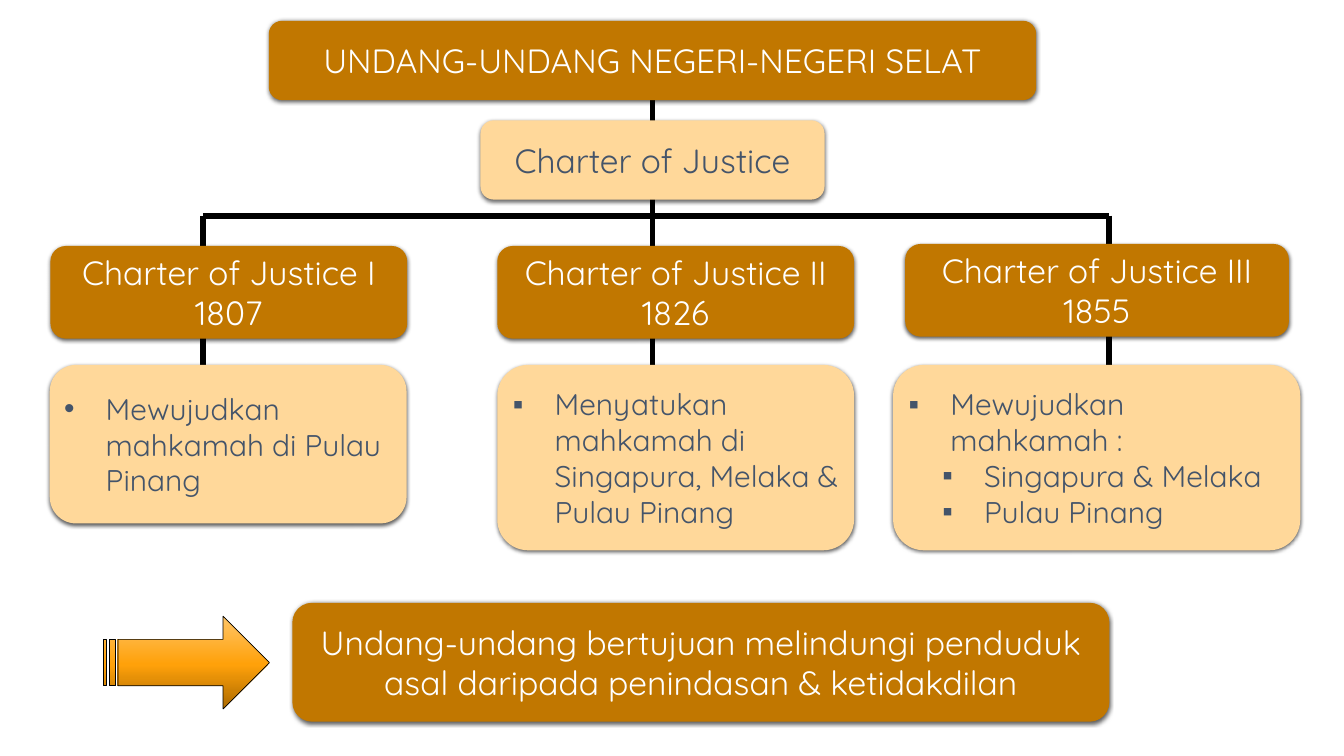
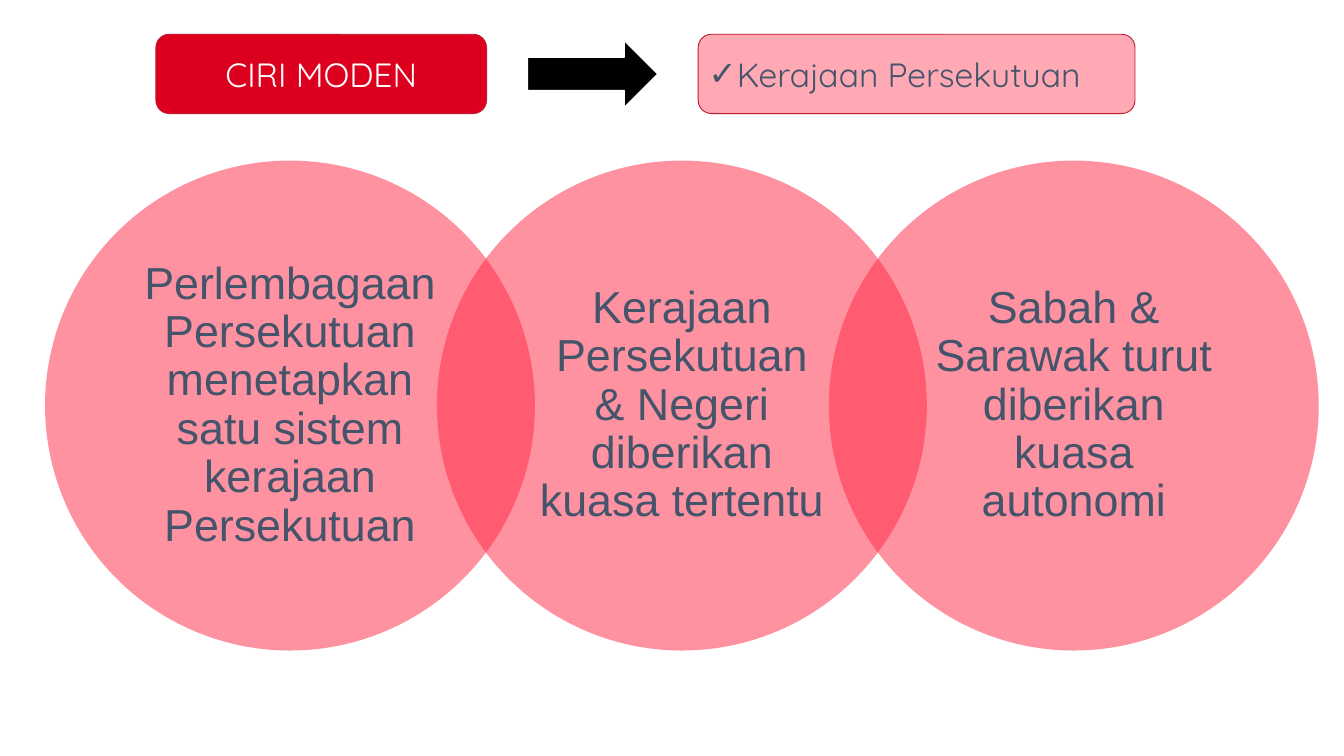
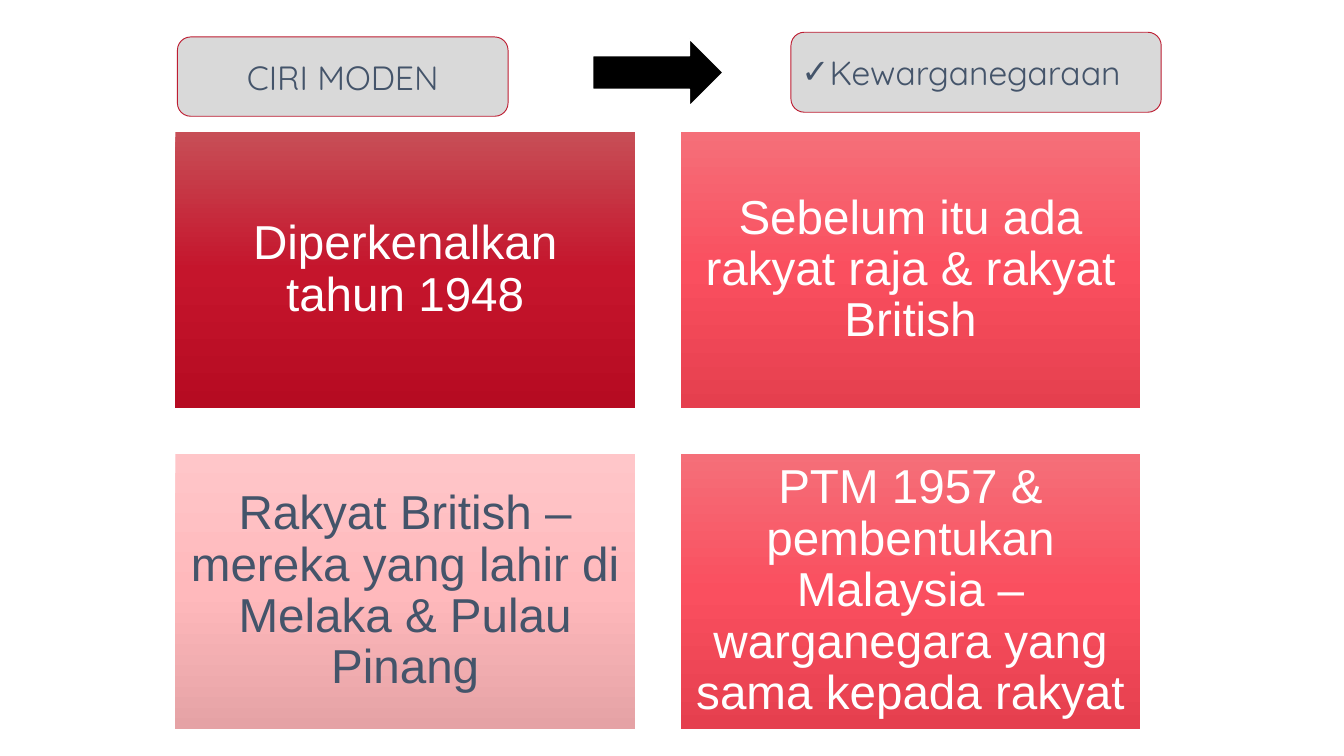
"""Three slides on the law of the Straits Settlements and the features of modern government."""
from lxml import etree
from pptx import Presentation, util as u
from pptx.dml.color import RGBColor
from pptx.enum import shapes, text
from pptx.oxml.ns import qn

W, H = 20, 11.25
KIND = shapes.MSO_SHAPE
WHITE, BLACK, SLATE, EDGE = "FFFFFF", "000000", "44546A", "BD1D32"
BROWN, SAND, RED, PINK, GREY = "C17700", "FFD89A", "DC001E", "FFA9B4", "D9D9D9"

LAW_TITLE = "UNDANG-UNDANG NEGERI-NEGERI SELAT"
LAW_SOURCE = "Charter of Justice"
LAW_AIM = "Undang-undang bertujuan melindungi penduduk asal daripada penindasan & ketidakdilan"
BRANCH_Y, EFFECT_Y = 3.21, 5.43
CHARTERS = [
    dict(stem=3.02, head=(0.75, 3.66, 5.31, 1.38), name="Charter of Justice I\n1807",
         effect=(0.74, EFFECT_Y, 5.31, 2.36), mark="•",
         lines=[(0, "Mewujudkan mahkamah di Pulau Pinang")]),
    dict(stem=9.71, head=(7.4, 3.66, 5.31, 1.38), name="Charter of Justice II\n1826",
         effect=(7.4, EFFECT_Y, 5.31, 2.76), mark="▪",
         lines=[(0, "Menyatukan mahkamah di Singapura, Melaka & Pulau Pinang")]),
    dict(stem=16.5, head=(13.47, 3.63, 5.71, 1.38), name="Charter of Justice III\n1855",
         effect=(13.29, EFFECT_Y, 6.06, 2.76), mark="▪",
         lines=[(0, "Mewujudkan mahkamah :"), (1, "Singapura & Melaka"), (1, "Pulau Pinang")]),
]
GOLD = [(0, "AC6A00"), (48, "FFA10A"), (100, "FFC567")]

FEATURE = "CIRI MODEN"
FEDERATION = [
    "Perlembagaan Persekutuan menetapkan satu sistem kerajaan Persekutuan",
    "Kerajaan Persekutuan & Negeri diberikan kuasa tertentu",
    "Sabah & Sarawak turut diberikan kuasa autonomi",
]
CRIMSON = [(0, "C74E56"), (50, "C5152C"), (100, "B60B22")]
CORAL = [(0, "F56F79"), (50, "FA4F5F"), (100, "E53F4E")]
ROSE = [(0, "FFC6C9"), (50, "FFB9BC"), (100, "E5A2A5")]
CITIZENSHIP = [
    ("Diperkenalkan tahun 1948", CRIMSON, WHITE),
    ("Sebelum itu ada rakyat raja & rakyat British", CORAL, WHITE),
    ("Rakyat British – mereka yang lahir di Melaka & Pulau Pinang", ROSE, SLATE),
    ("PTM 1957 & pembentukan Malaysia – warganegara yang sama kepada rakyat", CORAL, WHITE),
]


def rgb(value):
    return RGBColor.from_string(value)


def sub(parent, tag, **attrs):
    return etree.SubElement(parent, qn(tag), {k: str(v) for k, v in attrs.items()})


def shape(s, kind, at, fill, line=None, width=1, alpha=None, angle=270):
    sp = s.shapes.add_shape(kind, *map(u.Inches, at))
    sp.shadow.inherit = False
    if isinstance(fill, list):
        sp.fill.gradient()
        sp.fill.gradient_angle = angle
        stops = next(sp._element.spPr.iter(qn("a:gsLst")))
        for old in list(stops):
            stops.remove(old)
        for pos, color in fill:
            sub(sub(stops, "a:gs", pos=pos * 1000), "a:srgbClr", val=color)
    else:
        sp.fill.solid()
        sp.fill.fore_color.rgb = rgb(fill)
    if alpha:
        sub(next(sp._element.spPr.iter(qn("a:srgbClr"))), "a:alpha", val=alpha * 1000)
    if line:
        sp.line.color.rgb = rgb(line)
        sp.line.width = u.Pt(width)
    else:
        sp.line.fill.background()
    return sp


def write(sp, lines, size, color, font="Quicksand", mark=None, indent=0.62,
          spacing=None, insets=(0.1, 0.05)):
    tf = sp.text_frame
    tf.word_wrap = True
    tf.vertical_anchor = text.MSO_ANCHOR.MIDDLE
    tf.margin_left = tf.margin_right = u.Inches(insets[0])
    tf.margin_top = tf.margin_bottom = u.Inches(insets[1])
    tf.text = "\n".join(line for _, line in lines)
    for p, (level, _) in zip(tf.paragraphs, lines):
        p.alignment = text.PP_ALIGN.LEFT if mark else text.PP_ALIGN.CENTER
        p.level = level
        if spacing:
            p.line_spacing = spacing
        if mark:
            pPr = p._p.get_or_add_pPr()
            pPr.set("marL", str(u.Inches(indent + level / 2)))
            pPr.set("indent", str(-u.Inches(indent)))
            sub(pPr, "a:buFont", typeface="Arial")
            sub(pPr, "a:buChar", char=mark)
        for r in p.runs:
            r.font.size = u.Pt(size)
            r.font.name = font
            r.font.color.rgb = rgb(color)


def centred(sp, words, size, color, **style):
    write(sp, [(0, line) for line in words.split("\n")], size, color, **style)


def raised(s, at, fill):
    sp = shape(s, KIND.ROUNDED_RECTANGLE, at, fill)
    shadow = sub(sp._element.spPr.find(qn("a:effectLst")), "a:outerShdw",
                 blurRad=u.Pt(4.5), dist=u.Pt(1.5), dir=5400000, rotWithShape=0)
    sub(sub(shadow, "a:srgbClr", val=BLACK), "a:alpha", val=63000)
    return sp


def rule(s, x1, y1, x2, y2):
    c = s.shapes.add_connector(shapes.MSO_CONNECTOR.STRAIGHT,
                               *map(u.Inches, (x1, y1, x2, y2)))
    c.line.color.rgb = rgb(BLACK)
    c.line.width = u.Pt(6)
    sub(c._element.spPr, "a:effectLst")


def feature_header(s, left, arrow, right, topic, fills, color):
    label = shape(s, KIND.ROUNDED_RECTANGLE, left, fills[0], EDGE)
    centred(label, FEATURE, 36, color)
    box = shape(s, KIND.ROUNDED_RECTANGLE, right, fills[1], EDGE)
    write(box, [(0, topic)], 36, SLATE, mark="✓", indent=0.31)
    shape(s, KIND.RIGHT_ARROW, (*arrow, 1.94, 1), BLACK, WHITE, 1.5)


def charters(s):
    first, middle, last = (c["stem"] for c in CHARTERS)
    rule(s, first, BRANCH_Y, last, BRANCH_Y)
    for x, top in ((first, BRANCH_Y), (middle, 1.29), (last, BRANCH_Y)):
        rule(s, x, top, x, 6.6)
    centred(raised(s, (4, 0.31, 11.42, 1.18), BROWN), LAW_TITLE, 36, WHITE)
    centred(raised(s, (7.15, 1.79, 5.12, 1.18), SAND), LAW_SOURCE, 36, SLATE)
    for c in CHARTERS:
        centred(raised(s, c["head"], BROWN), c["name"], 36, WHITE)
        write(raised(s, c["effect"], SAND), c["lines"], 32, SLATE, mark=c["mark"])
    shape(s, KIND.STRIPED_RIGHT_ARROW, (1.54, 9.17, 2.47, 1.38), GOLD, BLACK, 0.75, angle=90)
    centred(raised(s, (4.35, 8.97, 12.16, 1.77), BROWN), LAW_AIM, 36, WHITE)


def federation(s):
    feature_header(s, (2.32, 0.51, 4.92, 1.18), (7.85, 0.6), (10.39, 0.51, 6.5, 1.18),
                   "Kerajaan Persekutuan", (RED, PINK), WHITE)
    size = 7.29
    for i, words in enumerate(FEDERATION):
        sp = shape(s, KIND.OVAL, (0.67 + i * size * 0.8, 2.39, size, size), "FF2744", alpha=50)
        centred(sp, words, 48, SLATE, font="Arial", spacing=0.9, insets=(0.4, 0.07))


def citizenship(s):
    feature_header(s, (2.64, 0.55, 4.92, 1.18), (8.82, 0.58), (11.77, 0.48, 5.51, 1.19),
                   "Kewarganegaraan", (GREY, GREY), SLATE)
    w, h, gap = 6.84, 4.1, 0.68
    for i, (words, fill, color) in enumerate(CITIZENSHIP):
        row, col = divmod(i, 2)
        at = (2.61 + col * (w + gap), 1.97 + row * (h + gap), w, h)
        sp = shape(s, KIND.RECTANGLE, at, fill)
        centred(sp, words, 51, color, font="Arial", spacing=0.9, insets=(0.21, 0.21))


def main():
    prs = Presentation()
    prs.slide_width, prs.slide_height = u.Inches(W), u.Inches(H)
    for draw in (charters, federation, citizenship):
        draw(prs.slides.add_slide(prs.slide_layouts[6]))
    prs.save("out.pptx")


if __name__ == "__main__":
    main()
